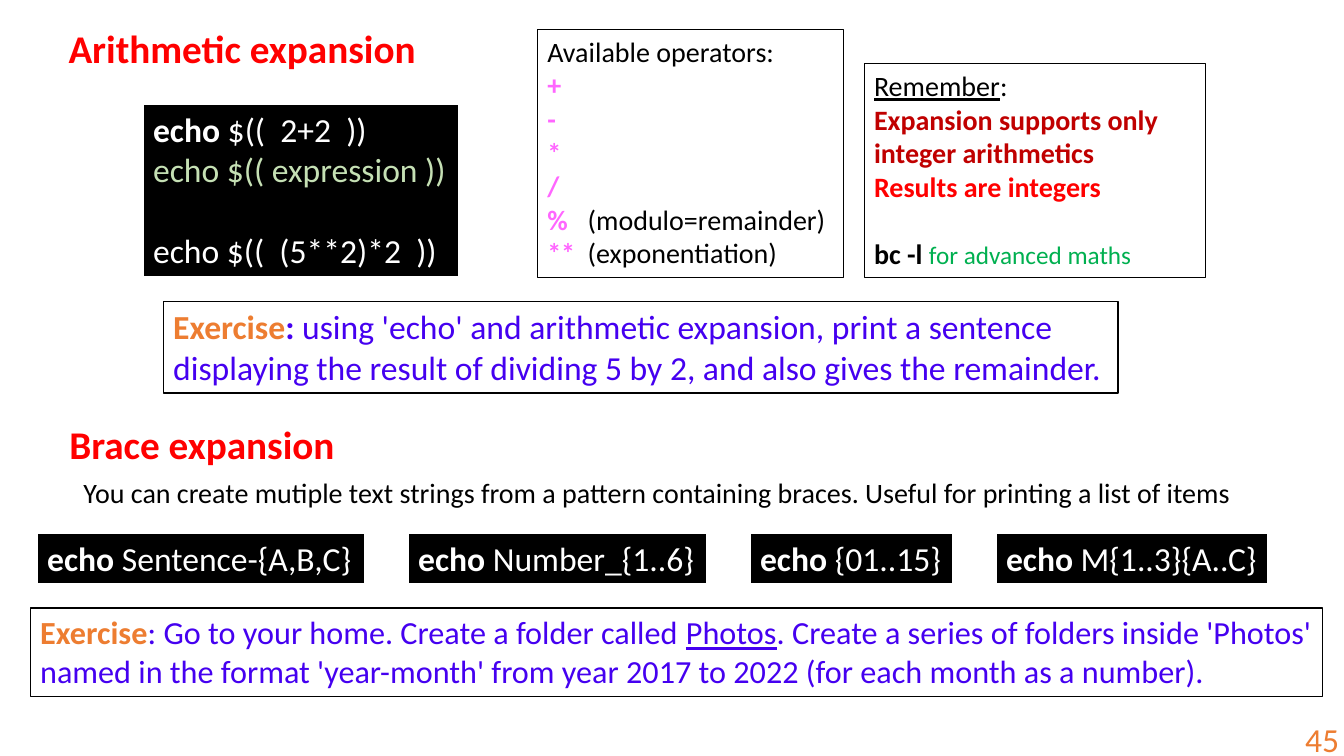
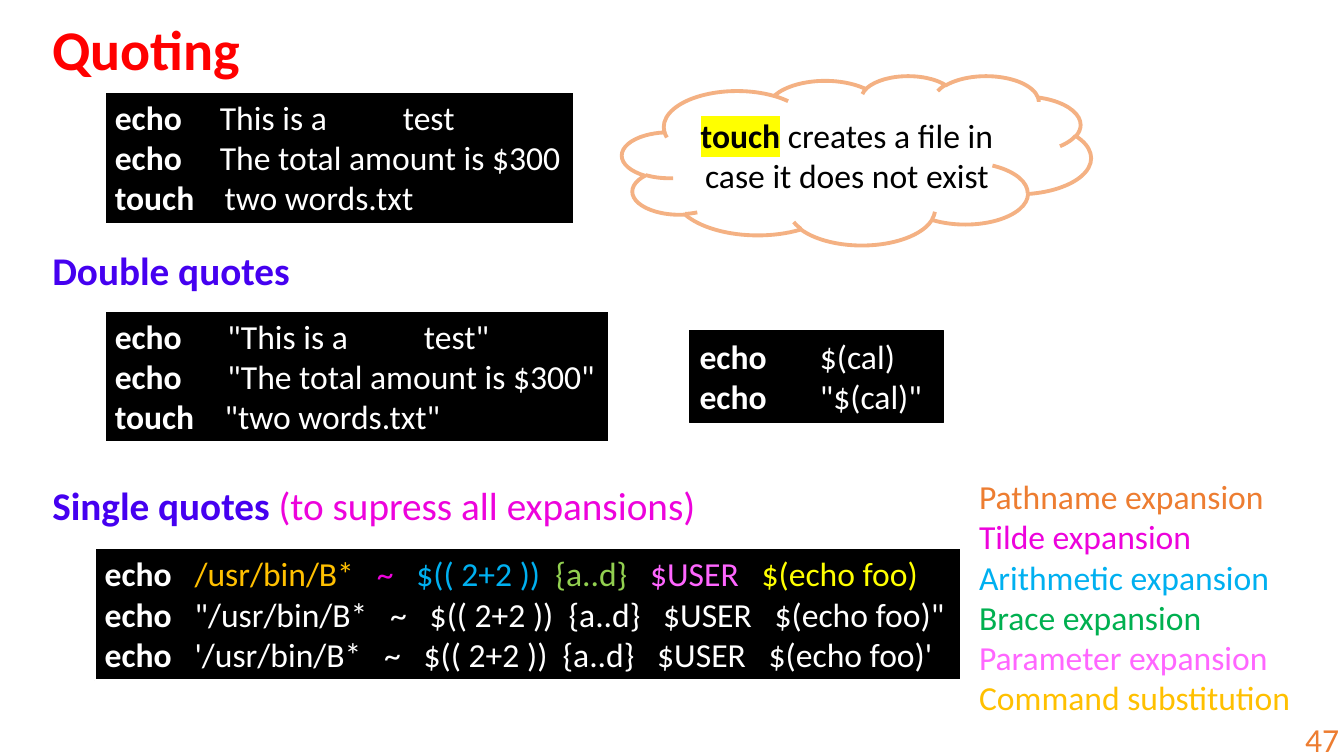
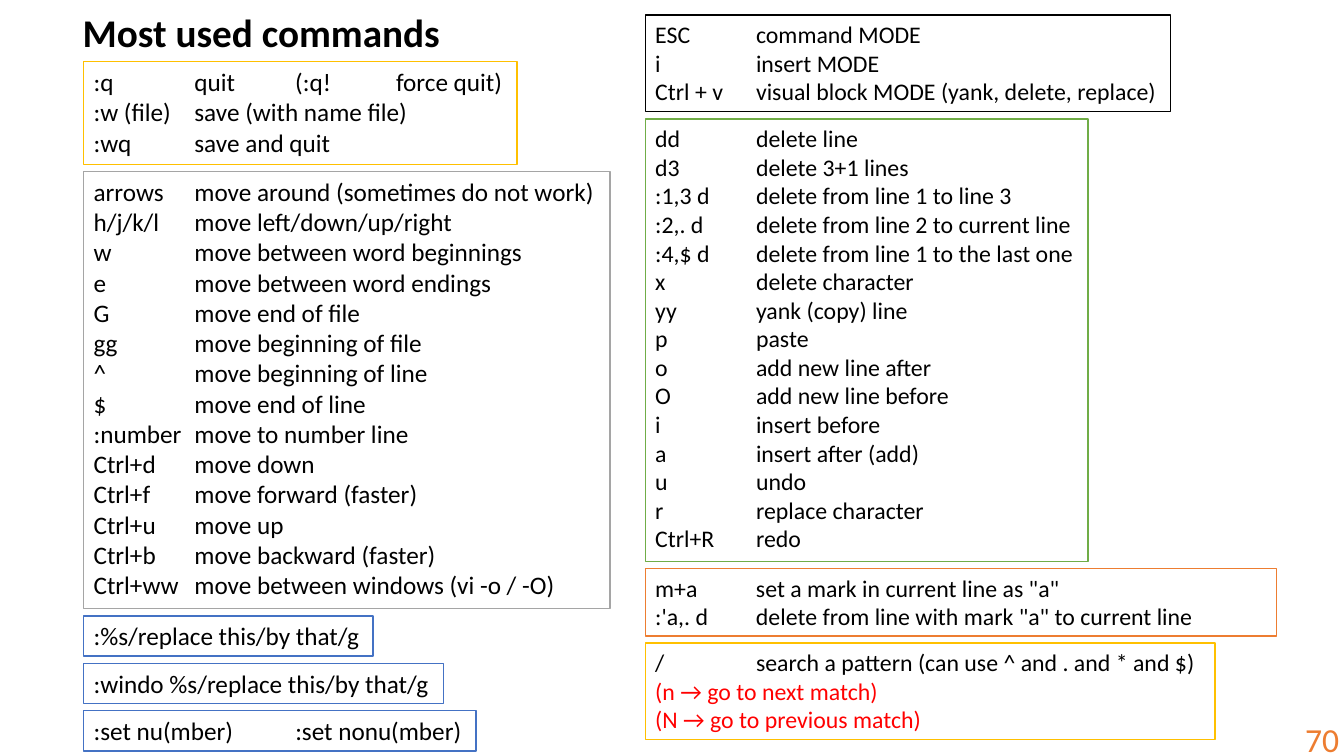
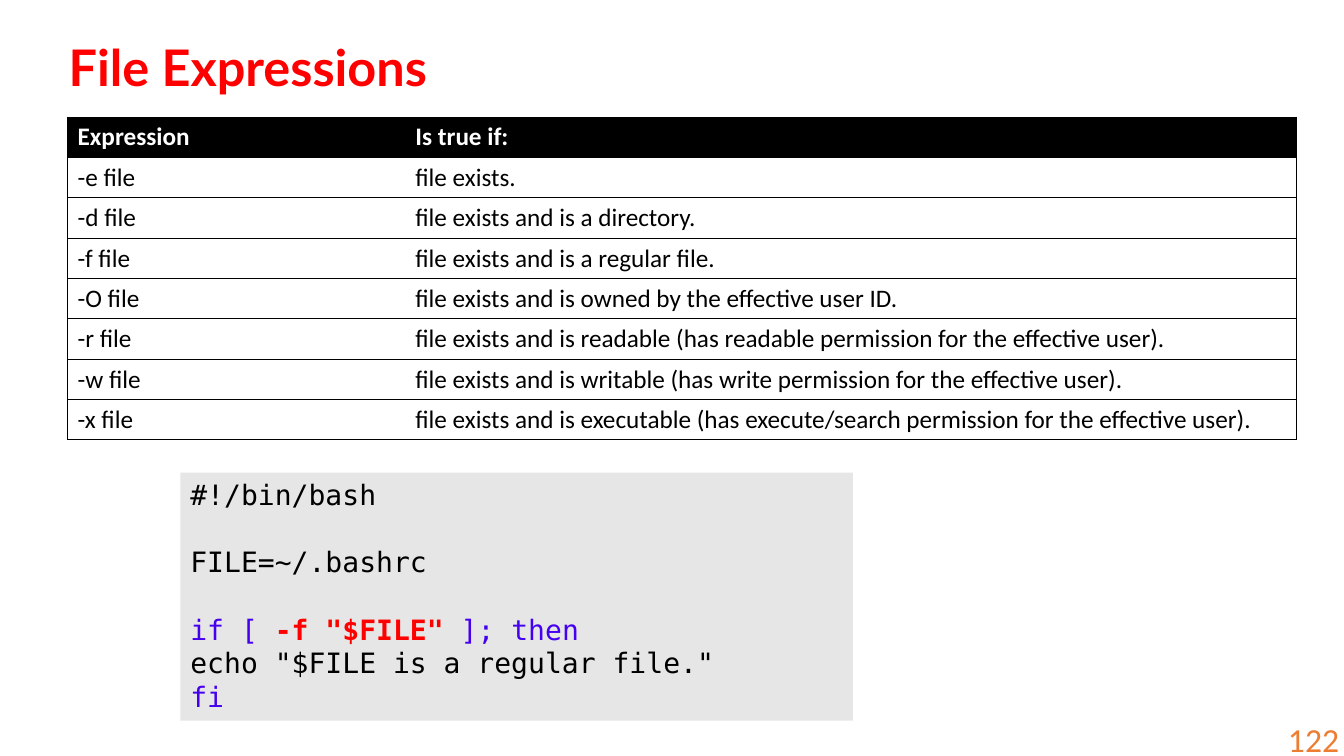
from typing import NamedTuple, Optional

from lxml import etree
from pptx import Presentation
from pptx.dml.color import RGBColor
from pptx.enum.shapes import MSO_SHAPE
from pptx.enum.text import MSO_ANCHOR, MSO_AUTO_SIZE as AutoSize, PP_ALIGN
from pptx.oxml.ns import qn
from pptx.util import Inches, Pt

COLOURS = {
    "black": "000000", "white": "FFFFFF", "red": "FF0000", "dark red": "C00000",
    "violet": "4500F0", "magenta": "ED03DC", "pink": "FF66FF", "orange": "ED7D31",
    "peach": "F4B183", "gold": "FFC000", "yellow": "FFFF00", "green": "00B050",
    "leaf": "70AD47", "lime": "92D050", "pale green": "C5E0B4", "sky": "00B0F0",
    "blue": "4472C4", "grey": "A5A5A5", "light grey": "E6E6E6",
}
FONT, CODE_FONT, TITLE_FONT = "Calibri", "DejaVu Sans Mono", "Lato"
TITLE_AND_CONTENT, TITLE_ONLY = 1, 5


class Run(NamedTuple):
    text: str
    colour: Optional[str] = None
    bold: bool = False
    underline: bool = False
    size: Optional[float] = None
    highlight: Optional[str] = None


def bold(text, colour=None):
    return Run(text, colour, bold=True)


def rgb(name):
    return RGBColor.from_string(COLOURS[name])


def highlight_run(run, colour):
    highlight = etree.Element(qn("a:highlight"))
    etree.SubElement(highlight, qn("a:srgbClr"), val=COLOURS[colour])
    run.font._element.find(qn("a:solidFill")).addnext(highlight)


def add_tab_stops(paragraph, positions):
    tabs = etree.SubElement(paragraph._p.get_or_add_pPr(), qn("a:tabLst"))
    for position in positions:
        etree.SubElement(tabs, qn("a:tab"), pos=str(Inches(position)), algn="l")


def write_text(text_frame, paragraphs, size, colour="black", font=FONT, gaps=None,
               align=PP_ALIGN.LEFT, tab_stops=()):
    """Fill a frame; a paragraph is a string, a Run or a list of both.

    gaps maps a paragraph index to the points of space before it.
    """
    for index, parts in enumerate(paragraphs):
        paragraph = text_frame.paragraphs[0] if index == 0 else text_frame.add_paragraph()
        paragraph.alignment = align
        paragraph.space_before = Pt((gaps or {}).get(index, 0))
        if tab_stops:
            add_tab_stops(paragraph, tab_stops)
        for part in [parts] if isinstance(parts, (str, Run)) else parts:
            style = Run(part) if isinstance(part, str) else part
            run = paragraph.add_run()
            run.text = style.text
            run.font.size = Pt(style.size or size)
            run.font.bold = style.bold
            run.font.underline = style.underline
            run.font.color.rgb = rgb(style.colour or colour)
            run.font.name = font
            if style.highlight:
                highlight_run(run, style.highlight)


def set_frame(text_frame, wrap, anchor=MSO_ANCHOR.TOP, auto_size=AutoSize.SHAPE_TO_FIT_TEXT):
    text_frame.word_wrap = wrap
    text_frame.auto_size = auto_size
    text_frame.vertical_anchor = anchor


def place(shape, box):
    shape.left, shape.top, shape.width, shape.height = map(Inches, box)


def add_text(slide, box, paragraphs, size, wrap=False, **style):
    shape = slide.shapes.add_textbox(*map(Inches, box))
    set_frame(shape.text_frame, wrap)
    write_text(shape.text_frame, paragraphs, size, **style)


def add_outline(slide, kind, box, fill, line, line_width):
    shape = slide.shapes.add_shape(kind, *map(Inches, box))
    shape.shadow.inherit = False
    if fill:
        shape.fill.solid()
        shape.fill.fore_color.rgb = rgb(fill)
    else:
        shape.fill.background()
    if line:
        shape.line.color.rgb = rgb(line)
        shape.line.width = Pt(line_width)
    else:
        shape.line.fill.background()
    return shape


def add_panel(slide, box, paragraphs, size, fill="white", line="black", line_width=1,
              wrap=False, **style):
    shape = add_outline(slide, MSO_SHAPE.RECTANGLE, box, fill, line, line_width)
    set_frame(shape.text_frame, wrap)
    write_text(shape.text_frame, paragraphs, size, **style)


def add_terminal(slide, box, paragraphs, **style):
    add_panel(slide, box, paragraphs, 24, fill="black", line="white", line_width=1.5,
              colour="white", **style)


def add_exercise(slide, box, runs, size):
    add_panel(slide, box, [[bold("Exercise", "orange"), *runs]], size, wrap=True,
              colour="violet")


def add_panel_stack(slide, left, top, gap, size, panels):
    """Stack panels given as (width, height, line colour, paragraphs)."""
    for width, height, line, paragraphs in panels:
        add_panel(slide, (left, top, width, height), paragraphs, size, line=line,
                  wrap=width > 6, tab_stops=(1, 2, 3))
        top += height + gap


def add_slide(presentation, title, title_box, number, size, colour="red", font=FONT,
              layout=TITLE_ONLY):
    slide = presentation.slides.add_slide(presentation.slide_layouts[layout])
    place(slide.shapes.title, title_box)
    set_frame(slide.shapes.title.text_frame, wrap=False)
    write_text(slide.shapes.title.text_frame, [bold(title)], size, colour=colour, font=font)

    footer = slide.shapes.add_textbox(*map(Inches, (10.38, 7.13, 3, 0.4)))
    set_frame(footer.text_frame, True, MSO_ANCHOR.MIDDLE, AutoSize.NONE)
    write_text(footer.text_frame, [str(number)], 24, colour="orange", align=PP_ALIGN.RIGHT)
    return slide


def build_expansions(presentation):
    slide = add_slide(presentation, "Arithmetic expansion", (0.58, 0.19, 3.69, 0.57), 45, 28)
    add_terminal(slide, (1.42, 1.03, 3.13, 1.72), [
        [bold("echo"), " $((  2+2  ))"],
        Run("echo $(( expression ))", "pale green"),
        "echo $((  (5**2)*2  ))",
    ], gaps={2: 29})
    add_panel(slide, (5.33, 0.29, 3.04, 2.46), [
        "Available operators:",
        *[bold(operator, "pink") for operator in "+-*/"],
        [bold("%", "pink"), "\t(modulo=remainder)"],
        [bold("**", "pink"), "\t(exponentiation)"],
    ], 20, fill=None, line_width=0.75, tab_stops=(0.4,))
    add_panel(slide, (8.57, 0.63, 3.39, 2.12), [
        [Run("Remember", underline=True), ":"],
        bold("Expansion supports only integer arithmetics", "dark red"),
        bold("Results are integers", "red"),
        [bold("bc -l "), Run("for advanced maths", "green", size=18)],
    ], 20, fill=None, line_width=0.75, wrap=True, gaps={3: 24})
    add_exercise(slide, (1.62, 2.99, 9.47, 0.91), [
        bold(": "),
        "using 'echo' and arithmetic expansion, print a sentence displaying the result "
        "of dividing 5 by 2, and also gives the remainder.",
    ], 24)

    add_text(slide, (0.59, 4.12, 2.86, 0.57), [bold("Brace expansion")], 28, colour="red")
    add_text(slide, (0.73, 4.67, 11.93, 0.44), [
        "You can create mutiple text strings from a pattern containing braces. "
        "Useful for printing a list of items",
    ], 20, wrap=True)
    left, gap = 0.37, 0.43
    for pattern, width in (("Sentence-{A,B,C}", 3.25), ("Number_{1..6}", 2.96),
                           ("{01..15}", 2.01), ("M{1..3}{A..C}", 2.7)):
        add_terminal(slide, (left, 5.29, width, 0.5), [[bold("echo"), " " + pattern]])
        left += width + gap
    add_exercise(slide, (0.3, 6.03, 12.82, 0.88), [
        ": Go to your home. Create a folder called ",
        Run("Photos", underline=True),
        ". Create a series of folders inside 'Photos' named in the format 'year-month' "
        "from year 2017 to 2022 (for each month as a number).",
    ], 23)


def add_expansion_legend(slide, box):
    legend = slide.placeholders[1]
    place(legend, box)
    set_frame(legend.text_frame, wrap=False)
    write_text(legend.text_frame, [
        Run("Pathname expansion", "orange"),
        Run("Tilde expansion", "magenta"),
        Run("Arithmetic expansion", "sky"),
        Run("Brace expansion", "green"),
        Run("Parameter expansion", "pink"),
        Run("Command substitution", "gold"),
    ], 24)
    for paragraph in legend.text_frame.paragraphs:
        properties = paragraph._p.get_or_add_pPr()
        properties.set("marL", "0")
        properties.set("indent", "0")
        etree.SubElement(properties, qn("a:buNone"))


def add_cloud_note(slide, left, top):
    add_outline(slide, MSO_SHAPE.CLOUD, (left, top, 4.65, 1.68), None, "peach", 2.75)
    add_text(slide, (left + 0.58, top + 0.34, 3.3, 0.91), [
        [Run("touch", bold=True, highlight="yellow"),
         " creates a file in case it does not exist"],
    ], 24, wrap=True, align=PP_ALIGN.CENTER)


def build_quoting(presentation):
    slide = add_slide(presentation, "Quoting", (0.42, 0.09, 2.09, 0.77), 47, 40,
                      layout=TITLE_AND_CONTENT)
    add_terminal(slide, (1.04, 0.91, 4.65, 1.31), [
        [bold("echo"), "     This is a          test"],
        [bold("echo"), "     The total amount is $300"],
        [bold("touch   "), " two words.txt"],
    ])
    add_cloud_note(slide, 6.17, 0.75)

    add_text(slide, (0.42, 2.39, 2.58, 0.57), [bold("Double quotes")], 28, colour="violet")
    add_terminal(slide, (1.04, 3.08, 5, 1.31), [
        [bold("echo"), '      "This is a          test"'],
        [bold("echo"), '      "The total amount is $300"'],
        [bold("touch "), '   "two words.txt"'],
    ])
    add_panel(slide, (6.84, 3.28, 2.52, 0.91), [
        [bold("echo       "), "$(cal)"],
        [bold("echo       "), '"$(cal)"'],
    ], 24, fill="black", wrap=True, colour="white")

    add_text(slide, (0.42, 4.73, 6.75, 0.57), [
        [bold("Single quotes "), Run("(to supress all expansions)", "magenta")],
    ], 28, colour="violet")
    arguments = [
        Run("/usr/bin/B*   ", "gold"), Run("~   ", "magenta"), Run("$(( 2+2 ))  ", "sky"),
        Run("{a..d}   ", "lime"), Run("$USER   ", "pink"), Run("$(echo foo)", "yellow"),
    ]
    plain = "".join(argument.text for argument in arguments)
    add_terminal(slide, (0.94, 5.44, 8.59, 1.31), [
        [bold("echo   "), *arguments],
        *[[bold("echo"), f"   {quote}{plain}{quote}"] for quote in "\"'"],
    ])
    add_expansion_legend(slide, (9.61, 4.67, 3.32, 2.52))


def build_commands(presentation):
    slide = add_slide(presentation, "Most used commands", (0.72, 0.03, 3.78, 0.57), 70, 28,
                      colour="black")
    add_panel_stack(slide, 0.83, 0.61, 0.07, 18, [
        (4.3, 1.02, "gold", [
            ":q\tquit\t(:q!\tforce quit)",
            ":w (file)\tsave (with name file)",
            ":wq\tsave and quit",
        ]),
        (5.22, 4.34, "grey", [
            "arrows\tmove around (sometimes do not work)",
            "h/j/k/l\tmove left/down/up/right",
            "w\tmove between word beginnings",
            "e\tmove between word endings",
            "G\tmove end of file",
            "gg\tmove beginning of file",
            "^\tmove beginning of line",
            "$\tmove end of line",
            ":number\tmove to number line",
            "Ctrl+d\tmove down",
            "Ctrl+f\tmove forward (faster)",
            "Ctrl+u\tmove up",
            "Ctrl+b\tmove backward (faster)",
            "Ctrl+ww\tmove between windows (vi -o / -O)",
        ]),
        (2.87, 0.4, "blue", [":%s/replace this/by that/g"]),
        (3.57, 0.4, "blue", [":windo %s/replace this/by that/g"]),
        (3.89, 0.4, "blue", [":set nu(mber)\t:set nonu(mber)"]),
    ])
    add_panel_stack(slide, 6.4, 0.15, 0.07, 17, [
        (5.21, 0.96, "black", [
            "ESC\tcommand MODE",
            "i\tinsert MODE",
            "Ctrl + v\tvisual block MODE (yank, delete, replace)",
        ]),
        (4.39, 4.39, "leaf", [
            "dd\tdelete line",
            "d3\tdelete 3+1 lines",
            ":1,3 d\tdelete from line 1 to line 3",
            ":2,. d\tdelete from line 2 to current line",
            ":4,$ d\tdelete from line 1 to the last one",
            "x\tdelete character",
            "yy\tyank (copy) line",
            "p\tpaste",
            "o\tadd new line after",
            "O\tadd new line before",
            "i\tinsert before",
            "a\tinsert after (add)",
            "u\tundo",
            "r\treplace character",
            "Ctrl+R\tredo",
        ]),
        (6.26, 0.67, "orange", [
            'm+a\tset a mark in current line as "a"',
            ":'a,. d\tdelete from line with mark \"a\" to current line",
        ]),
        (5.65, 0.96, "gold", [
            "/\tsearch a pattern (can use ^ and . and * and $)",
            Run("(n → go to next match)", "red"),
            Run("(N → go to previous match)", "red"),
        ]),
    ])


def set_borders(cell, visible):
    """Draw a thin black line on the visible sides and none on the others."""
    properties = cell._tc.get_or_add_tcPr()
    for index, side in enumerate("LRTB"):
        line = etree.Element(qn(f"a:ln{side}"), w=str(Pt(0.5)))
        if side in visible:
            fill = etree.SubElement(line, qn("a:solidFill"))
            etree.SubElement(fill, qn("a:srgbClr"), val=COLOURS["black"])
        else:
            etree.SubElement(line, qn("a:noFill"))
        properties.insert(index, line)


def add_expression_table(slide, left, top, widths, row_height, rows):
    table = slide.shapes.add_table(
        len(rows), len(widths), Inches(left), Inches(top),
        Inches(sum(widths)), Inches(row_height * len(rows))).table
    table.horz_banding = False
    for column, width in zip(table.columns, widths):
        column.width = Inches(width)
    for row_index, row in enumerate(rows):
        header = row_index == 0
        for column_index, text in enumerate(row):
            cell = table.cell(row_index, column_index)
            cell.fill.solid()
            cell.fill.fore_color.rgb = rgb("black" if header else "white")
            write_text(cell.text_frame, [Run(text, bold=header)], 18,
                       colour="white" if header else "black")
            set_borders(cell, "LTB" if column_index == 0 else "RTB")


def build_file_expressions(presentation):
    slide = add_slide(presentation, "File Expressions", (0.58, 0.31, 6.67, 0.71), 122, 36,
                      font=TITLE_FONT)
    slide.shapes.title.text_frame.word_wrap = True
    add_expression_table(slide, 0.67, 1.16, (3.35, 8.84), 0.4, [
        ("Expression", "Is true if:"),
        ("-e file", "file exists."),
        ("-d file", "file exists and is a directory."),
        ("-f file", "file exists and is a regular file."),
        ("-O file", "file exists and is owned by the effective user ID."),
        ("-r file", "file exists and is readable (has readable permission for the effective user)."),
        ("-w file", "file exists and is writable (has write permission for the effective user)."),
        ("-x file", "file exists and is executable (has execute/search permission for the effective user)."),
    ])
    add_panel(slide, (1.79, 4.69, 6.67, 2.46), [
        "#!/bin/bash",
        "FILE=~/.bashrc",
        [Run("if [ ", "violet"), bold('-f "$FILE" ', "red"), Run("]; then", "violet")],
        'echo "$FILE is a regular file."',
        Run("fi", "violet"),
    ], 20, fill="light grey", line=None, wrap=True, font=CODE_FONT, gaps={1: 24, 2: 24})


def main():
    presentation = Presentation()
    presentation.slide_width = Inches(13.33)
    presentation.slide_height = Inches(7.5)
    build_expansions(presentation)
    build_quoting(presentation)
    build_commands(presentation)
    build_file_expressions(presentation)
    presentation.save("out.pptx")


if __name__ == "__main__":
    main()
